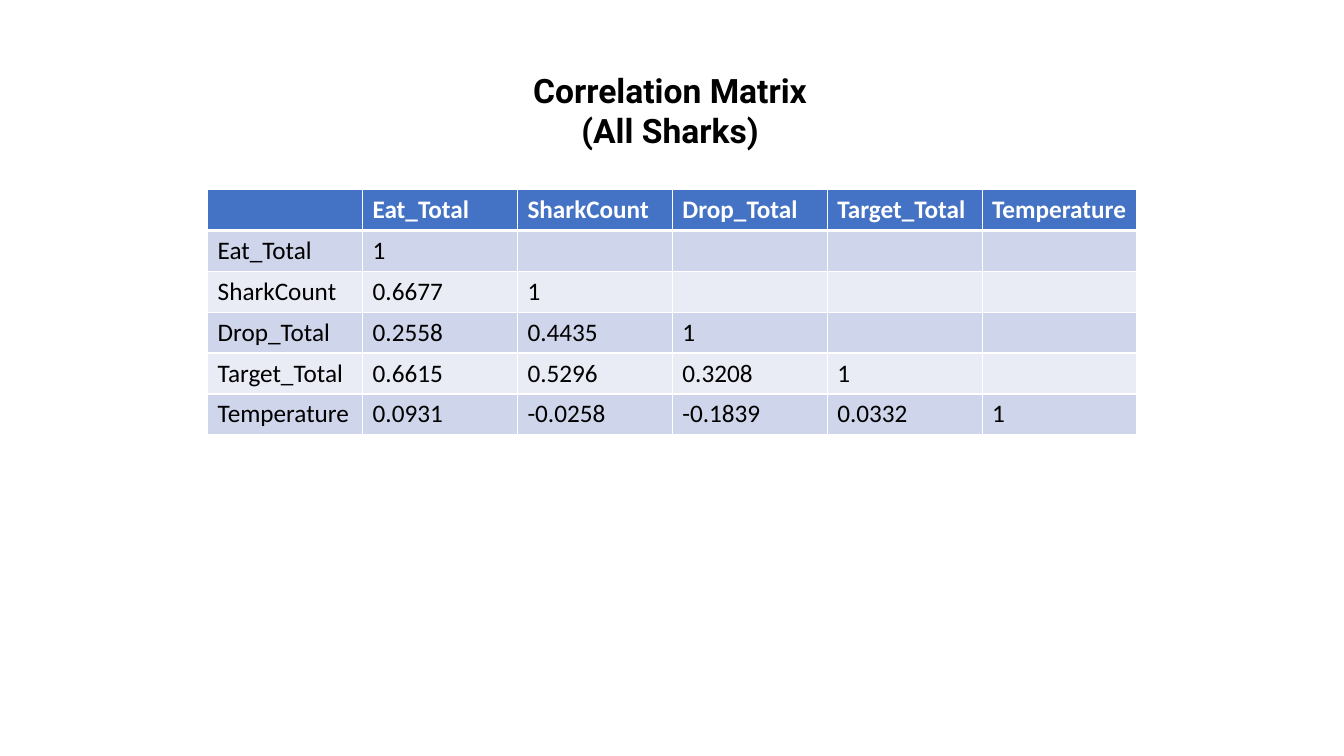
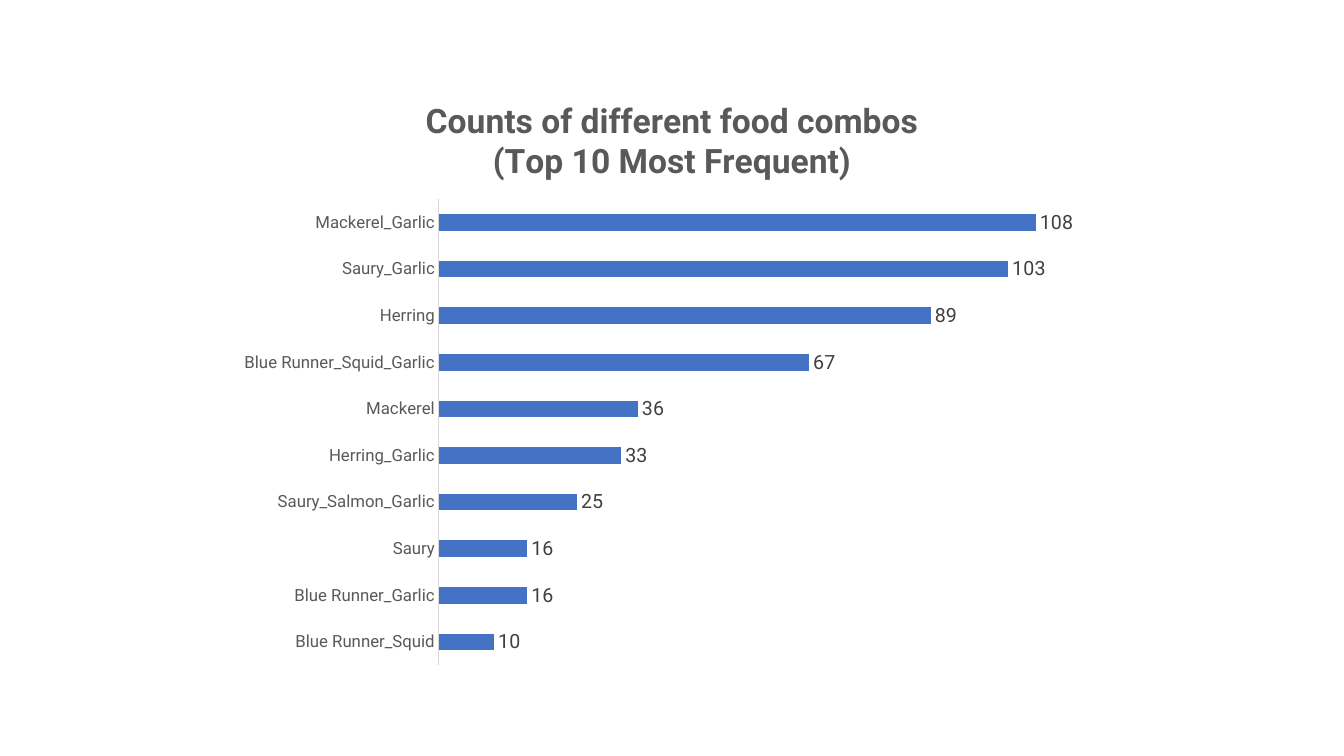
from dataclasses import dataclass

from lxml import etree
from pptx import Presentation
from pptx import util as u
from pptx.chart import data as chart_data
from pptx.dml.color import RGBColor
from pptx.enum import chart as chart_enum
from pptx.enum import text
from pptx.oxml import parse_xml
from pptx.oxml.ns import nsdecls, qn


@dataclass(frozen=True)
class Theme:
    """Colours, fonts and type sizes."""
    accent: str = "4472C4"
    bands: tuple = ("CFD5EA", "E9EBF5")
    white: str = "FFFFFF"
    black: str = "000000"
    grey: str = "595959"
    dark_grey: str = "404040"
    axis: str = "D9D9D9"
    heading_font: str = "Roboto"
    body_font: str = "Calibri"
    title_size: int = 24
    table_size: int = 18
    label_size: int = 14
    category_size: int = 12


class Deck:
    """Holds the style and current slide; boxes are percentages of the slide."""
    TITLE_ONLY, BLANK = 5, 6

    def __init__(self, theme):
        self.theme = theme
        self.presentation = Presentation()
        self.presentation.slide_width = u.Inches(13.33)
        self.presentation.slide_height = u.Inches(7.5)
        self.slide = None

    def new_slide(self, layout):
        layouts = self.presentation.slide_layouts
        self.slide = self.presentation.slides.add_slide(layouts[layout])

    def box(self, left, top, width, height):
        across = self.presentation.slide_width / 100
        down = self.presentation.slide_height / 100
        return [u.Emu(int(share * unit)) for share, unit in
                zip((left, top, width, height), (across, down) * 2)]

    def style(self, font, name, size, colour, bold=False):
        font.name, font.size, font.bold = name, u.Pt(size), bold
        font.color.rgb = RGBColor.from_string(colour)

    def heading(self, frame, lines, colour):
        """Centred title text, shared by slide and chart titles."""
        frame.text = "\n".join(lines)
        for paragraph in frame.paragraphs:
            paragraph.alignment = text.PP_ALIGN.CENTER
            for run in paragraph.runs:
                self.style(run.font, self.theme.heading_font,
                           self.theme.title_size, colour, bold=True)

    def title(self, lines, box):
        shape = self.slide.shapes.title
        shape.left, shape.top, shape.width, shape.height = self.box(*box)
        frame = shape.text_frame
        frame.word_wrap = True
        frame.auto_size = text.MSO_AUTO_SIZE.NONE
        frame.vertical_anchor = text.MSO_ANCHOR.TOP
        self.heading(frame, lines, self.theme.black)

    def cell_borders(self, cell, widths):
        properties = cell._tc.get_or_add_tcPr()
        for side, points in zip("LRTB", widths):
            properties.append(parse_xml(
                f'<a:ln{side} {nsdecls("a")} w="{u.Pt(points)}"><a:solidFill>'
                f'<a:srgbClr val="{self.theme.white}"/>'
                f'</a:solidFill></a:ln{side}>'))

    def table(self, rows, box):
        theme = self.theme
        table = self.slide.shapes.add_table(
            len(rows), len(rows[0]), *self.box(*box)).table
        table.first_row = table.horz_banding = False
        for row_index, row in enumerate(rows):
            header = row_index == 0
            fill = theme.accent if header else theme.bands[(row_index - 1) % 2]
            colour = theme.white if header else theme.black
            # The rule below the header is heavier than the others
            widths = (1, 1, 3 if row_index == 1 else 1, 3 if header else 1)
            for column_index, value in enumerate(row):
                cell = table.cell(row_index, column_index)
                cell.text = value
                self.cell_borders(cell, widths)
                cell.fill.solid()
                cell.fill.fore_color.rgb = RGBColor.from_string(fill)
                for run in cell.text_frame.paragraphs[0].runs:
                    self.style(run.font, theme.body_font, theme.table_size,
                               colour, bold=header)

    def plot_area(self, chart, **shares):
        """Fix the inner plot area, in shares of the chart."""
        area = chart._chartSpace.find(".//" + qn("c:plotArea"))
        for layout in area.findall(qn("c:layout")):
            area.remove(layout)
        layout = etree.Element(qn("c:layout"))
        manual = etree.SubElement(layout, qn("c:manualLayout"))
        settings = dict(layoutTarget="inner", xMode="edge", yMode="edge",
                        **shares)
        for name, value in settings.items():
            etree.SubElement(manual, qn("c:" + name)).set("val", str(value))
        area.insert(0, layout)

    def bar_chart(self, lines, counts, maximum, box):
        theme = self.theme
        data = chart_data.CategoryChartData()
        data.categories = list(counts)
        data.add_series("Series 1", list(counts.values()))
        chart = self.slide.shapes.add_chart(
            chart_enum.XL_CHART_TYPE.BAR_CLUSTERED, *self.box(*box), data).chart
        chart.has_legend = False
        self.style(chart.font, theme.body_font, 10, theme.black)
        chart.has_title = True
        self.heading(chart.chart_title.text_frame, lines, theme.grey)
        chart.chart_title.include_in_layout = False

        # Axes
        categories, values = chart.category_axis, chart.value_axis
        categories.major_tick_mark = chart_enum.XL_TICK_MARK.NONE
        categories.format.line.color.rgb = RGBColor.from_string(theme.axis)
        categories.format.line.width = u.Pt(0.75)
        self.style(categories.tick_labels.font, theme.heading_font,
                   theme.category_size, theme.grey)
        values.minimum_scale, values.maximum_scale = 0, maximum
        values.has_major_gridlines = False
        values.visible = False

        # Bars and value labels
        plot = chart.plots[0]
        plot.gap_width = 182
        plot.vary_by_categories = False
        fill = plot.series[0].format.fill
        fill.solid()
        fill.fore_color.rgb = RGBColor.from_string(theme.accent)
        labels = plot.series[0].data_labels
        labels.show_value = True
        labels.position = chart_enum.XL_LABEL_POSITION.OUTSIDE_END
        self.style(labels.font, theme.heading_font, theme.label_size,
                   theme.dark_grey)
        self.plot_area(chart, x=0.24, y=0.2, w=0.74, h=0.78)


def correlation_rows():
    """Lower triangle of the matrix, padded to a square with a header."""
    names = ["Eat_Total", "SharkCount", "Drop_Total", "Target_Total",
             "Temperature"]
    triangle = [[], ["0.6677"], ["0.2558", "0.4435"],
                ["0.6615", "0.5296", "0.3208"],
                ["0.0931", "-0.0258", "-0.1839", "0.0332"]]
    rows = [[""] + names]
    for name, values in zip(names, triangle):
        padding = [""] * (len(names) - len(values) - 1)
        rows.append([name, *values, "1", *padding])
    return rows


def main():
    deck = Deck(Theme())

    # Correlation matrix
    deck.new_slide(Deck.TITLE_ONLY)
    deck.table(correlation_rows(), (15.45, 25.07, 69.15, 32.45))
    deck.title(["Correlation Matrix", "(All Sharks)"],
               (20.7, 8.53, 58.3, 12.13))

    # Food combinations, listed from the bottom bar up
    deck.new_slide(Deck.BLANK)
    counts = {
        "Blue Runner_Squid": 10, "Blue Runner_Garlic": 16, "Saury": 16,
        "Saury_Salmon_Garlic": 25, "Herring_Garlic": 33, "Mackerel": 36,
        "Blue Runner_Squid_Garlic": 67, "Herring": 89, "Saury_Garlic": 103,
        "Mackerel_Garlic": 108,
    }
    deck.bar_chart(["Counts of different food combos",
                    "(Top 10 Most Frequent)"],
                   counts, 120, (16.65, 10.53, 66.7, 79.07))

    deck.presentation.save("out.pptx")


if __name__ == "__main__":
    main()
